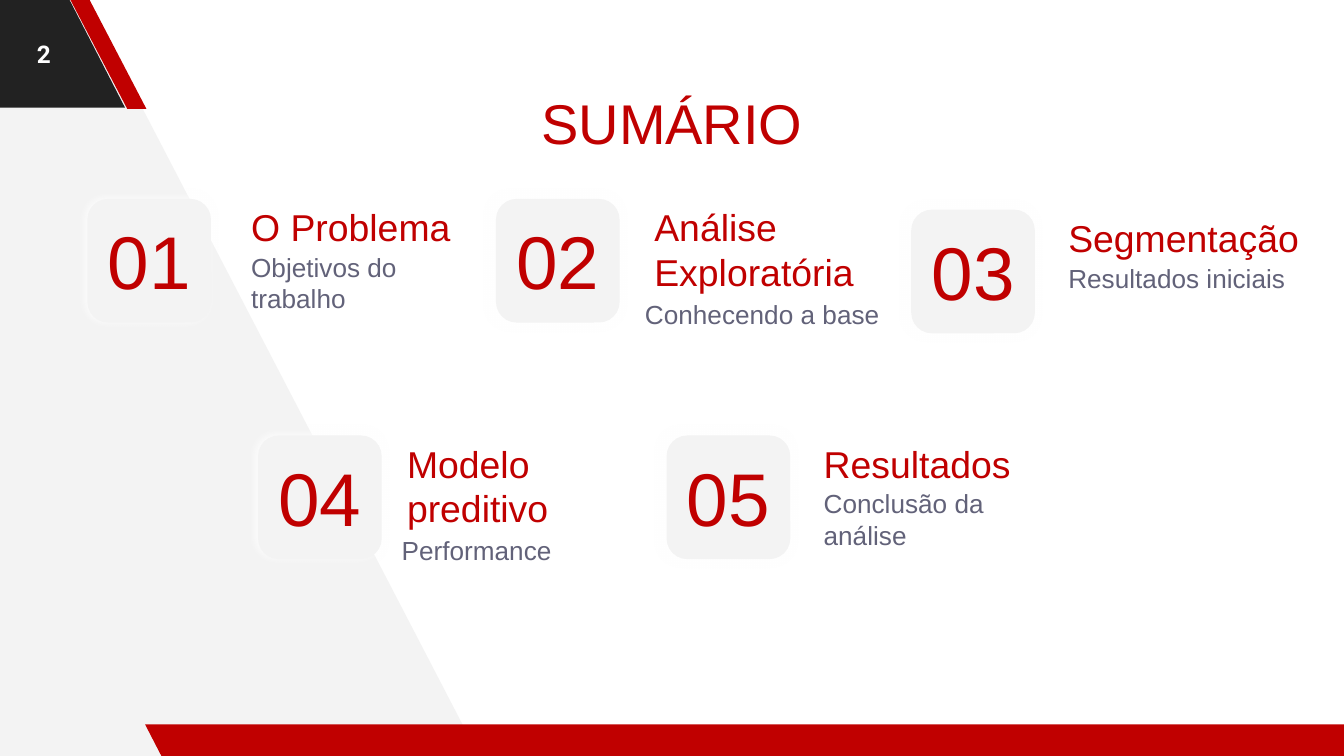
from lxml.etree import SubElement
from pptx import Presentation
from pptx.dml.color import RGBColor
from pptx.enum.shapes import MSO_SHAPE
from pptx.enum.text import MSO_ANCHOR, PP_ALIGN
from pptx.oxml.ns import qn
from pptx.util import Inches, Pt

RED = RGBColor(0xC0, 0x00, 0x00)
LIGHT = RGBColor(0xF3, 0xF3, 0xF3)
DARK = RGBColor(0x22, 0x22, 0x22)
SLATE = RGBColor(0x62, 0x62, 0x79)
WHITE = RGBColor(0xFF, 0xFF, 0xFF)

WIDTH = 10
HEIGHT = WIDTH * 9 / 16
TITLE = "SUMÁRIO"
PAGE = "2"
ROWS = (1.48, 3.24)
CARD = 0.92
TEXT_WIDTH = 2.02
ONE_LINE, TWO_LINES = 0.29, 0.64  # drop from card top to detail box

# number, heading, detail, card left, card top, heading indent, detail indent, detail drop
TOPICS = [
    ("01", "O Problema", "Objetivos do trabalho", 0.65, ROWS[0], 1.12, 1.12, ONE_LINE),
    ("02", "Análise Exploratória", "Conhecendo a base", 3.69, ROWS[0], 1.08, 1.01, TWO_LINES),
    ("03", "Segmentação", "Resultados iniciais", 6.78, ROWS[0] + 0.08, 1.07, 1.07, ONE_LINE),
    ("04", "Modelo\npreditivo", "Performance", 1.92, ROWS[1], 1.01, 0.97, TWO_LINES),
    ("05", "Resultados", "Conclusão da análise", 4.96, ROWS[1], 1.07, 1.07, ONE_LINE),
]

BACKDROP = [(3.56, 5.62), (0.62, -0.04), (-0.06, -0.04), (-0.02, 5.66)]
# left, top, width, height, slant, colour
BANDS = [
    (-0.99, -0.02, 1.92, 0.82, 0.515, DARK),
    (0.52, -0.01, 0.57, 0.82, 0.75, RED),
    (1.08, 5.39, 9.15, 0.25, 0.515, RED),
]

presentation = Presentation()
presentation.slide_width = Inches(WIDTH)
presentation.slide_height = Inches(HEIGHT)
slide = presentation.slides.add_slide(presentation.slide_layouts[6])


def paint(shape, color):
    shape.shadow.inherit = False
    shape.fill.solid()
    shape.fill.fore_color.rgb = color
    shape.line.fill.background()


def add_shape(kind, left, top, width, height, adjustment, color):
    shape = slide.shapes.add_shape(
        kind, Inches(left), Inches(top), Inches(width), Inches(height))
    shape.adjustments[0] = adjustment
    paint(shape, color)
    return shape


def add_white_shadow(shape):
    effects = shape._element.spPr.find(qn("a:effectLst"))
    shadow = SubElement(effects, qn("a:outerShdw"), blurRad=str(Pt(5.6)),
                        dist=str(Pt(1.5)), dir=str(200 * 60000),
                        algn="bl", rotWithShape="0")
    color = SubElement(shadow, qn("a:srgbClr"), val=str(WHITE))
    SubElement(color, qn("a:alpha"), val="97000")


def add_text(text, left, top, width, height, size, color=RED, font="Arial",
             bold=False, align=PP_ALIGN.LEFT, anchor=MSO_ANCHOR.TOP):
    box = slide.shapes.add_textbox(
        Inches(left), Inches(top), Inches(width), Inches(height))
    frame = box.text_frame
    frame.word_wrap = True
    frame.vertical_anchor = anchor
    frame.margin_left = frame.margin_right = Inches(0.1)
    frame.margin_top = frame.margin_bottom = Inches(0.1)
    frame.text = text
    for paragraph in frame.paragraphs:
        paragraph.alignment = align
        for run in paragraph.runs:
            run.font.name = font
            run.font.size = Pt(size)
            run.font.bold = bold
            run.font.color.rgb = color


corners = [(Inches(x), Inches(y)) for x, y in BACKDROP]
builder = slide.shapes.build_freeform(*corners[0])
builder.add_line_segments(corners[1:], close=True)
paint(builder.convert_to_shape(), LIGHT)

for band in BANDS:
    shape = add_shape(MSO_SHAPE.PARALLELOGRAM, *band)
    shape._element.spPr.xfrm.set("flipH", "1")

add_text(PAGE, 0, 0, 0.65, 0.8, 13, color=WHITE, font="Roboto", bold=True,
         align=PP_ALIGN.CENTER, anchor=MSO_ANCHOR.MIDDLE)
add_text(TITLE, 0.8, 0.56, WIDTH - 1.6, 0.69, 30, align=PP_ALIGN.CENTER)

for number, heading, detail, left, top, heading_indent, detail_indent, drop in TOPICS:
    card = add_shape(MSO_SHAPE.ROUNDED_RECTANGLE, left, top, CARD, CARD, 0.167, LIGHT)
    add_white_shadow(card)
    add_text(number, left, top + 0.2, CARD, 0.51, 40,
             align=PP_ALIGN.CENTER, anchor=MSO_ANCHOR.MIDDLE)
    add_text(heading, left + heading_indent, top - 0.06, TEXT_WIDTH, 0.34, 20)
    add_text(detail, left + detail_indent, top + drop, TEXT_WIDTH, 0.84, 14, color=SLATE)

presentation.save("out.pptx")
